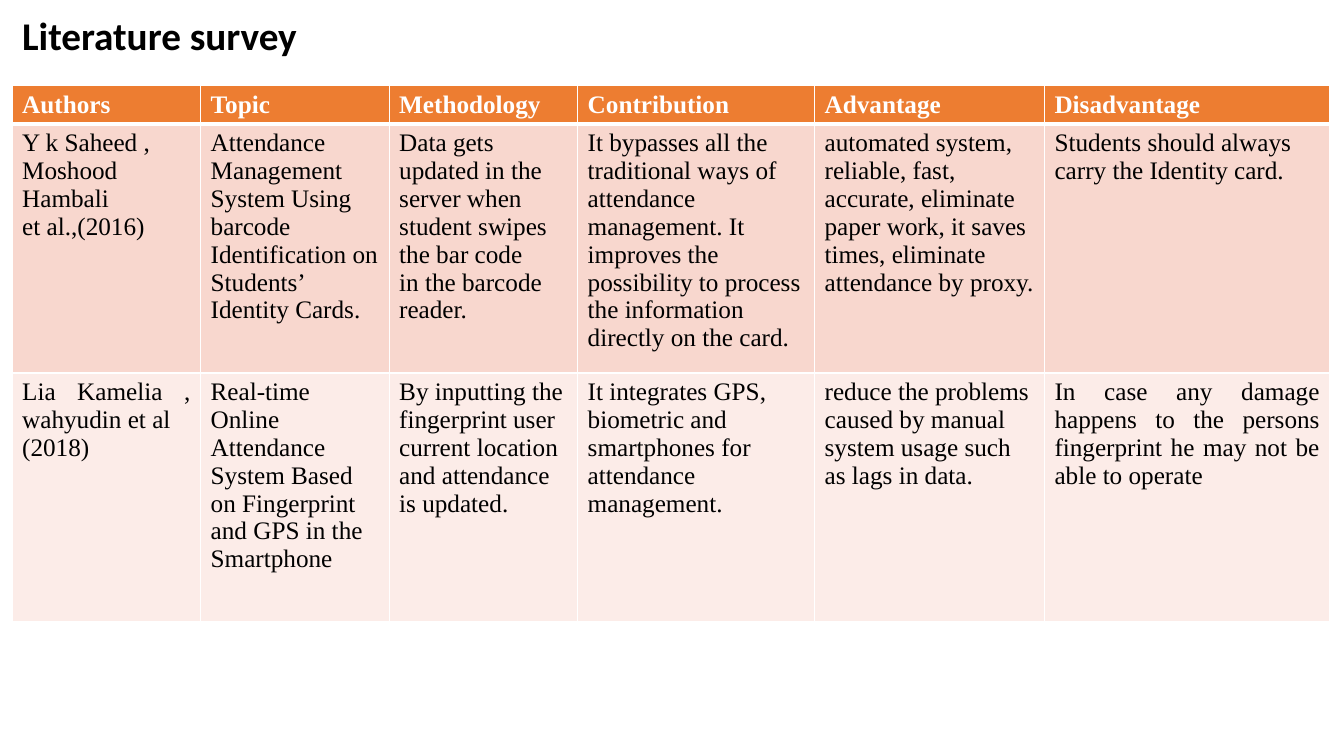
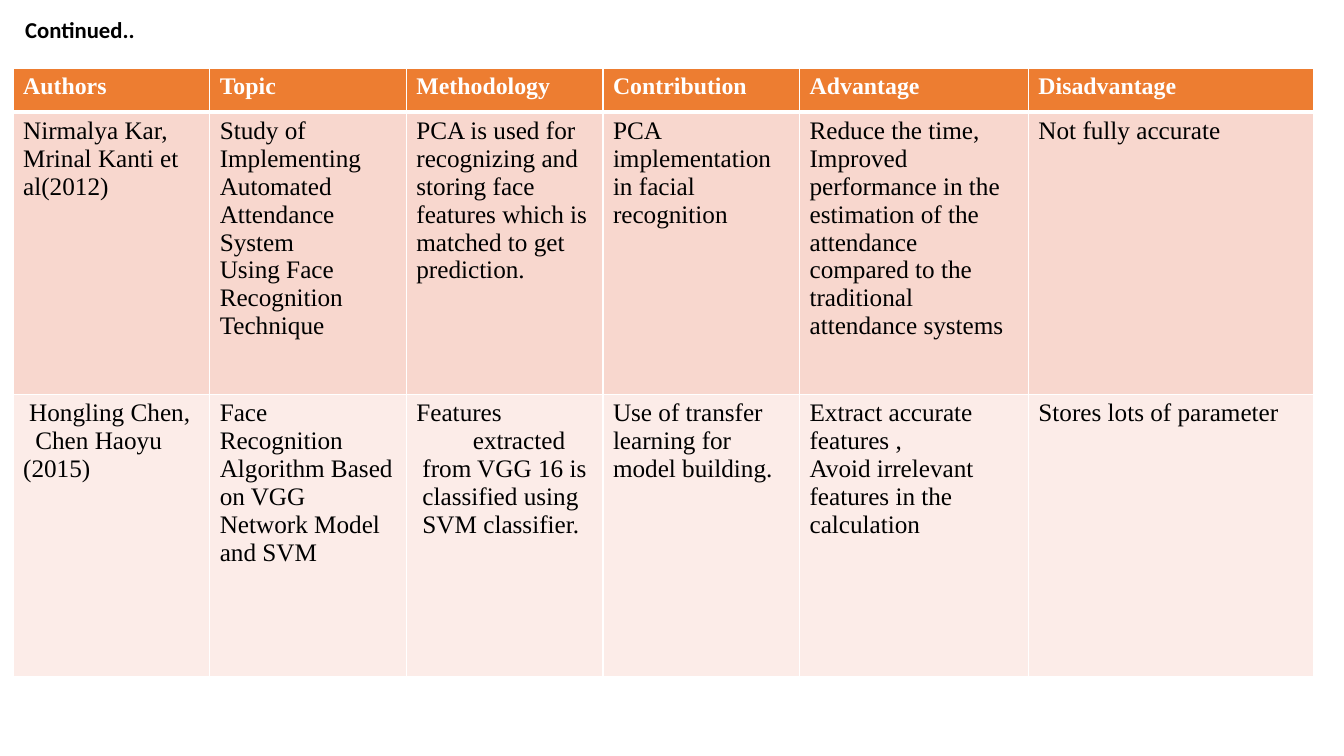
from lxml import etree
from pptx import Presentation
from pptx import util as u
from pptx.dml.color import RGBColor
from pptx.enum import text
from pptx.oxml.ns import qn

# Shared look
WHITE = RGBColor(0xFF, 0xFF, 0xFF)
BLACK = RGBColor(0x00, 0x00, 0x00)
ORANGE = RGBColor(0xED, 0x7D, 0x31)
ROW_FILLS = (ORANGE, RGBColor(0xF8, 0xD7, 0xCE), RGBColor(0xFC, 0xEC, 0xE8))
TITLE_FONT = {"name": "Calibri", "bold": True}
TITLE_FRAME = {"vertical_anchor": text.MSO_ANCHOR.MIDDLE, "word_wrap": True,
               "auto_size": text.MSO_AUTO_SIZE.NONE}
TITLE_PARA = {"alignment": text.PP_ALIGN.LEFT, "line_spacing": 0.9}
HEAD_FONT = {"name": "Times New Roman", "bold": True}
BODY_FONT = {"name": "Times New Roman", "bold": False, "size": u.Pt(18)}
THIN, THICK = u.Pt(1), u.Pt(3)

# Content: "\n" starts a paragraph, "\v" breaks a line
HEADINGS = ["Authors", "Topic", "Methodology", "Contribution", "Advantage", "Disadvantage"]
SPACE = 0.06
SURVEYS = [
    {
        "title": "Literature survey", "title_size": 28, "title_at": (0.12, 0, 11.5, 0.75),
        "table_at": (0.12, 0.85), "head_size": 18,
        "columns": [1.87] * 3 + [2.35, 2.28, 2.83], "rows": [0.38] + [2.47] * 2,
        "justified": {(1, 0), (2, 0), (2, 5)}, "indents": {},
        "studies": [
            ["Y k Saheed ,\nMoshood Hambali\net al.,(2016)",
             "Attendance Management System Using barcode Identification on Students’ "
             "Identity Cards.",
             "Data gets updated in the server when student swipes the bar code\n"
             "in the barcode reader.",
             "It bypasses all the traditional ways of attendance management. It improves "
             "the possibility to process the information directly on the card.",
             "automated system, reliable, fast, accurate, eliminate paper work, it saves "
             "times, eliminate attendance by proxy.",
             "Students should always carry the Identity card."],
            ["Lia Kamelia , wahyudin et al\n(2018)",
             "Real-time Online Attendance System Based on Fingerprint and GPS in the "
             "Smartphone",
             "By inputting the fingerprint user current location and attendance is updated.",
             "It integrates GPS, biometric and smartphones for attendance management.",
             "reduce the problems caused by manual system usage such as lags in data.",
             "In case any damage happens to the persons fingerprint he may not be able to "
             "operate"],
        ],
    },
    {
        "title": "Continued..", "title_size": 16.2, "title_at": (0.15, 0.13, 11.5, 0.36),
        "table_at": (0.13, 0.68), "head_size": 17,
        "columns": [1.95] * 4 + [2.27, 2.83], "rows": [0.43] + [2.8] * 2,
        "justified": {(2, 2)},
        # (left margin, first-line indent) of each paragraph
        "indents": {(2, 0): [(SPACE, 0), (2 * SPACE, 0), (0, 0)],
                    (2, 2): [(0.56, -0.56)] + [(SPACE, 0)] * 3},
        "studies": [
            ["Nirmalya Kar,\nMrinal Kanti et al(2012)",
             "Study of Implementing Automated Attendance System\v"
             "Using Face Recognition Technique",
             "PCA is used for recognizing and storing face features which is matched to "
             "get prediction.",
             "PCA implementation in facial recognition",
             "Reduce the time,\nImproved performance in the estimation of the attendance "
             "compared to the traditional attendance systems",
             "Not fully accurate"],
            ["Hongling Chen,\nChen Haoyu\n(2015)",
             "Face Recognition Algorithm Based on VGG\vNetwork Model and SVM",
             "Features extracted\nfrom VGG 16 is\nclassified using\nSVM classifier.",
             "Use of transfer learning for model building.",
             "Extract accurate features ,\nAvoid irrelevant features in the calculation",
             "Stores lots of parameter"],
        ],
    },
]


def apply(target, formats):
    for name, value in formats.items():
        setattr(target, name, value)


def set_font(para, formats, colour):
    for span in para.runs:
        apply(span.font, formats)
        span.font.color.rgb = colour


def add_borders(cell, row):
    """White lines, thicker between the heading row and the body."""
    properties = cell._tc.get_or_add_tcPr()
    widths = {"lnL": THIN, "lnR": THIN, "lnT": THICK if row == 1 else THIN,
              "lnB": THICK if row == 0 else THIN}
    for place, (side, width) in enumerate(widths.items()):
        line = etree.Element(qn(f"a:{side}"), w=str(int(width)))
        fill = etree.SubElement(line, qn("a:solidFill"))
        etree.SubElement(fill, qn("a:srgbClr"), val=str(WHITE))
        properties.insert(place, line)


def add_title(page, survey):
    box = page.shapes.title
    box.left, box.top, box.width, box.height = map(u.Inches, survey["title_at"])
    box.text_frame.text = survey["title"]
    apply(box.text_frame, TITLE_FRAME)
    para = box.text_frame.paragraphs[0]
    apply(para, TITLE_PARA)
    set_font(para, TITLE_FONT | {"size": u.Pt(survey["title_size"])}, BLACK)


def fill_cell(cell, words, place, survey):
    row = place[0]
    cell.text = words
    cell.fill.solid()
    cell.fill.fore_color.rgb = ROW_FILLS[row]
    add_borders(cell, row)
    head_font = HEAD_FONT | {"size": u.Pt(survey["head_size"])}
    font, colour = (BODY_FONT, BLACK) if row else (head_font, WHITE)
    paras = cell.text_frame.paragraphs
    for para in paras:
        justified = place in survey["justified"]
        para.alignment = text.PP_ALIGN.JUSTIFY if justified else text.PP_ALIGN.LEFT
        set_font(para, font, colour)
    for para, (left, first) in zip(paras, survey["indents"].get(place, [])):
        properties = para._p.get_or_add_pPr()
        properties.set("marL", str(int(u.Inches(left))))
        properties.set("indent", str(int(u.Inches(first))))


def add_survey_table(page, survey):
    columns, rows = survey["columns"], survey["rows"]
    area = (*survey["table_at"], sum(columns), sum(rows))
    table = page.shapes.add_table(len(rows), len(columns), *map(u.Inches, area)).table
    table.horz_banding = False
    for column, width in zip(table.columns, columns):
        column.width = u.Inches(width)
    for row, height in zip(table.rows, rows):
        row.height = u.Inches(height)
    for r, line in enumerate([HEADINGS] + survey["studies"]):
        for c, words in enumerate(line):
            fill_cell(table.cell(r, c), words, (r, c), survey)


def main():
    deck = Presentation()
    deck.slide_width, deck.slide_height = u.Inches(13.33), u.Inches(7.5)
    title_only = deck.slide_layouts[5]
    for survey in SURVEYS:
        page = deck.slides.add_slide(title_only)
        add_title(page, survey)
        add_survey_table(page, survey)
    deck.save("out.pptx")


if __name__ == "__main__":
    main()
